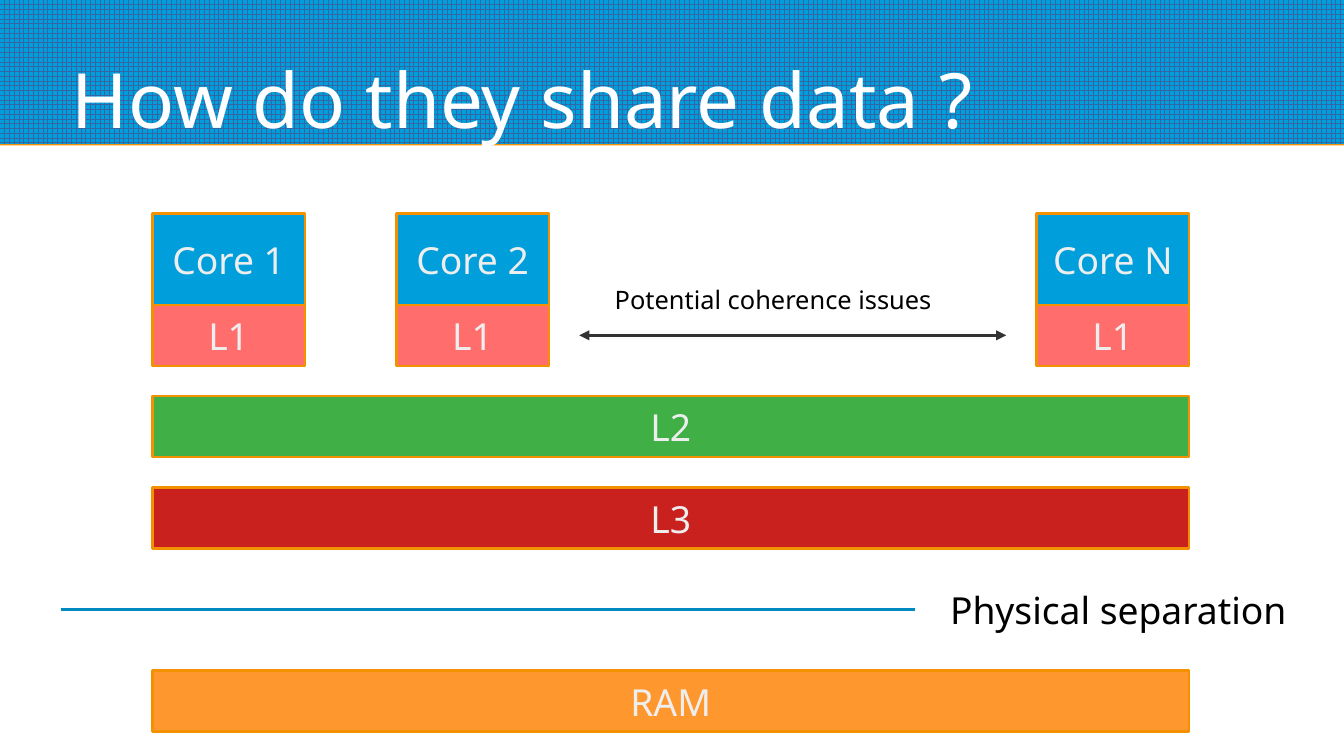
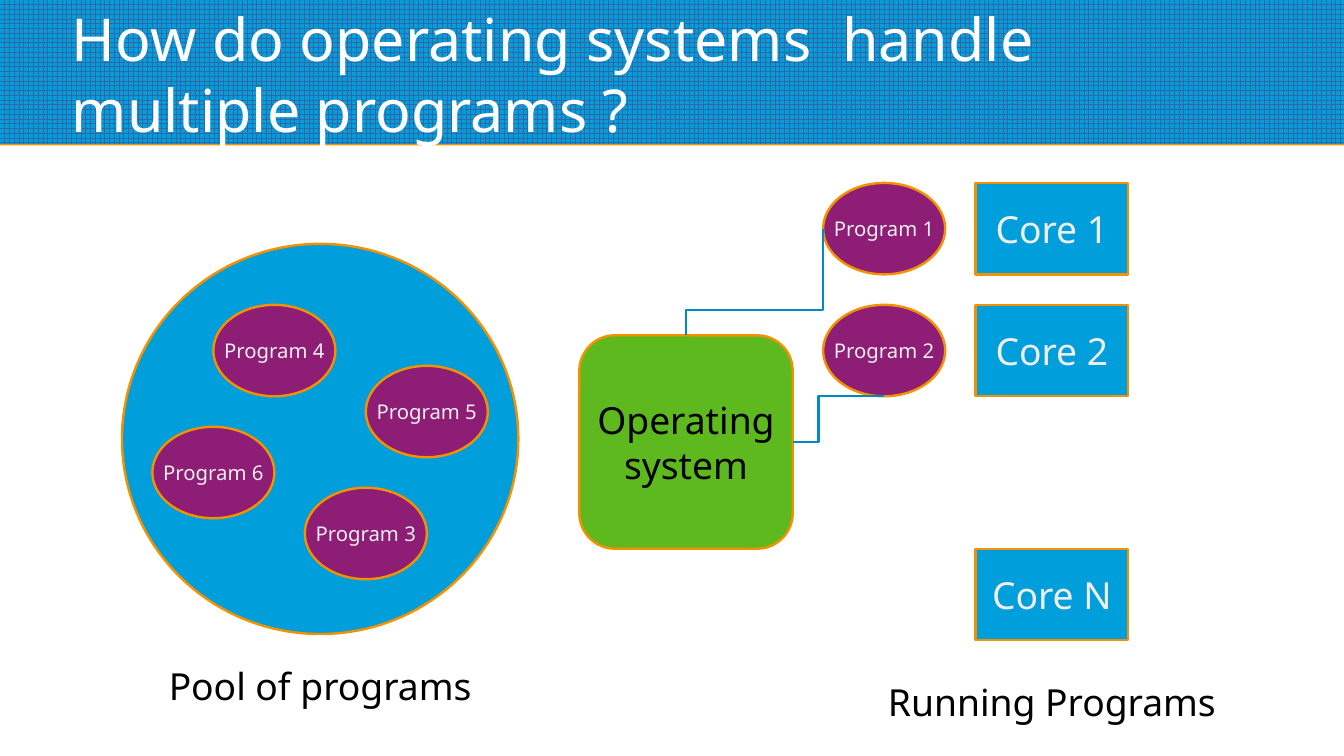
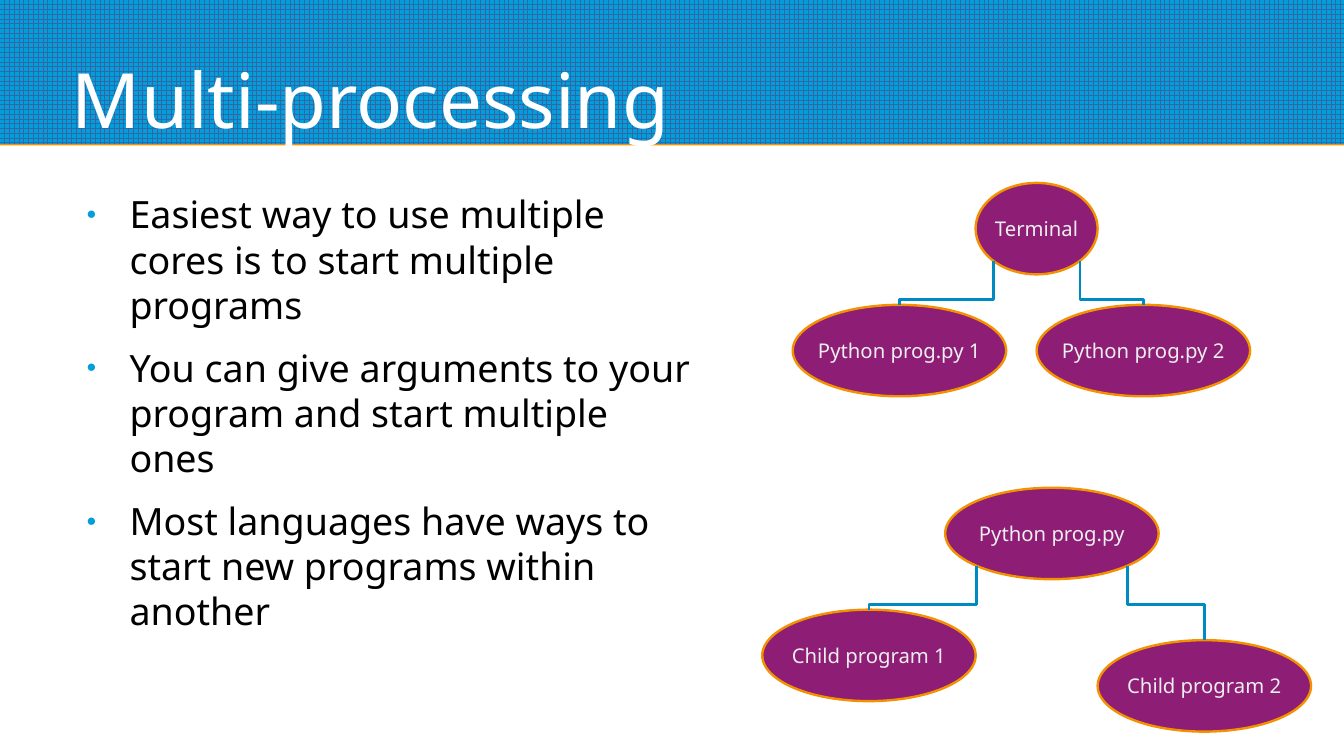
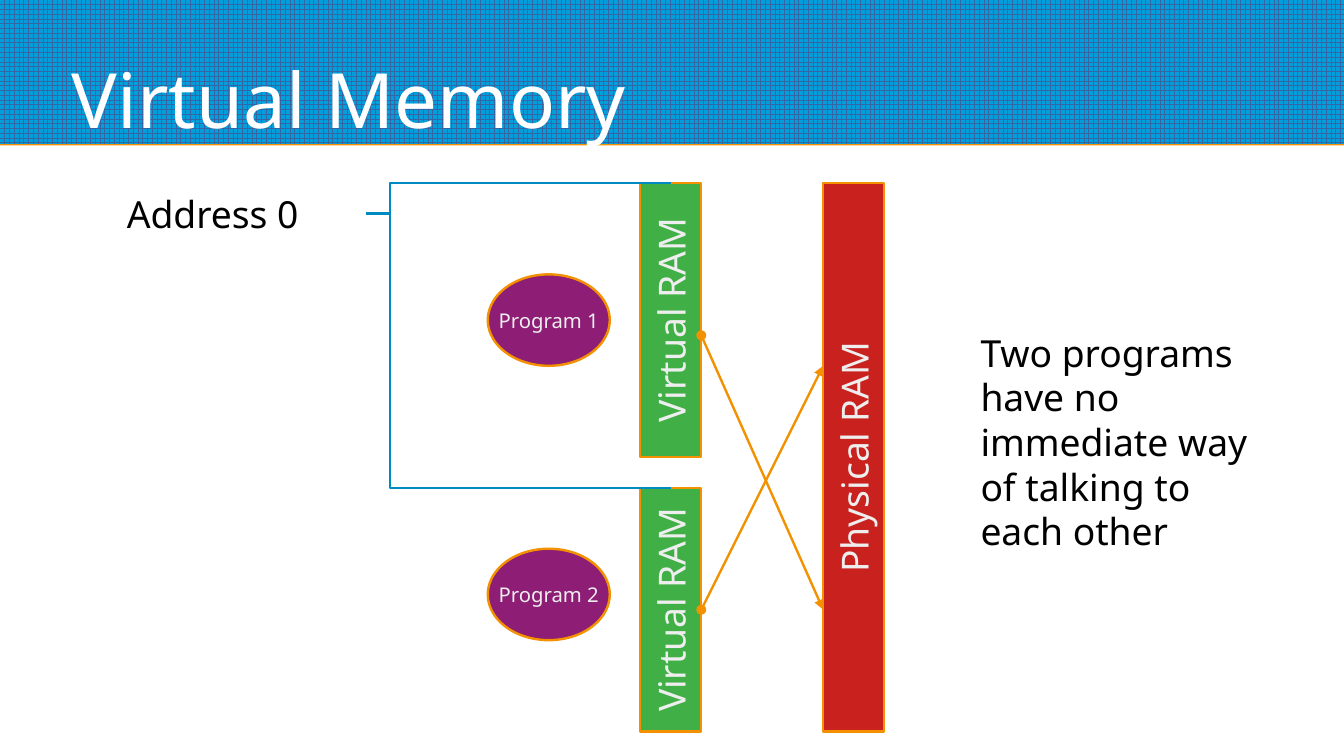
from lxml import etree
from pptx import Presentation
from pptx import util as u
from pptx.dml import color
from pptx.enum import dml, shapes, text
from pptx.oxml import ns

Pt = u.Pt
FONT = "Noto Sans"
WHITE, BLACK, PALE, DARK = "FFFFFF", "000000", "EEEEEE", "333333"
BLUE, NAVY, LINK, ORANGE = "009EDA", "3465A4", "008AC2", "F49100"
PINK, GREEN, RED, AMBER = "FF6D6D", "3FAF46", "C9211E", "FF972F"
PURPLE, LIME = "8D1D75", "5EB91E"

WIDTH, HEIGHT, BAND_HEIGHT = 793.44, 446.4, 85
TITLE_BOX = (42.5, 7.2, 708.5, 77.8)
BODY_BOX = (42.5, 113, 371.5, 276.5)
LINE_WIDTH, INSET = 1.42, 2.9
CORE_SIZE, PROGRAM_SIZE, PROCESS_SIZE = (90, 54), (72, 54), (126, 54)

RECTANGLE = shapes.MSO_SHAPE.RECTANGLE
ELLIPSE = shapes.MSO_SHAPE.OVAL
ROUNDED = shapes.MSO_SHAPE.ROUNDED_RECTANGLE
LEFT, CENTER = text.PP_ALIGN.LEFT, text.PP_ALIGN.CENTER

CACHE_CORES = [("Core 1", 90), ("Core 2", 234), ("Core N", 612)]
MEMORY_BARS = [("L2", 234, GREEN), ("L3", 288, RED), ("RAM", 396, AMBER)]

POOL = [("Program 4", 126, 180), ("Program 6", 90, 252),
        ("Program 5", 216, 216), ("Program 3", 180, 288)]
RUNNING_CORES = [("Core 1", 108), ("Core 2", 180), ("Core N", 324)]
RUNNING_PROGRAMS = [("Program 1", 108), ("Program 2", 180)]
SCHEDULING = [((405, 198), (486, 135), 0.24, True),
              ((468, 261), (522, 234), 0.28, False)]

BULLETS = ["Easiest way to use multiple cores is to start multiple programs",
           "You can give arguments to your program and start multiple ones",
           "Most languages have ways to start new programs within another"]
PROCESSES = [("Python prog.py 1", 468, 180), ("Python prog.py 2", 612, 180),
             ("Python prog.py", 558, 288), ("Child program 1", 450, 360),
             ("Child program 2", 648, 378)]
SPAWNING = [((586.5, 154), (531, 180), 0.88, True),
            ((637.5, 154), (675, 180), 0.88, True),
            ((576.5, 334), (513, 360), 0.88, True),
            ((665.5, 334), (711, 378), 0.52, True)]

MEMORIES = [("Virtual RAM", 378, 108, 162, GREEN),
            ("Virtual RAM", 378, 288, 144, GREEN),
            ("Physical RAM", 486, 108, 324, RED)]
MAPPINGS = [((414, 198), (486, 360)), ((414, 360), (486, 216))]
VIRTUAL_PROGRAMS = [("Program 2", 324), ("Program 1", 162)]
ADDRESS_END, MEMORY_TOPS = (216, 126), (108, 288)


def rgb(value):
    return color.RGBColor.from_string(value)


def add_xml(parent, tag, **attributes):
    return etree.SubElement(parent, ns.qn(tag), attributes)


def place(shape, box):
    shape.left, shape.top, shape.width, shape.height = map(Pt, box)


def style_paragraph(paragraph, size, font_color, alignment):
    paragraph.alignment = alignment
    paragraph.font.name = FONT
    paragraph.font.size = Pt(size)
    paragraph.font.color.rgb = rgb(font_color)


def set_frame(frame, inset, anchor, wrap=True):
    frame.margin_left = frame.margin_right = Pt(inset)
    frame.margin_top = frame.margin_bottom = Pt(inset)
    frame.vertical_anchor = anchor
    frame.word_wrap = wrap
    frame.auto_size = text.MSO_AUTO_SIZE.NONE


def write(shape, words, size, font_color, alignment, wrap=True):
    frame = shape.text_frame
    set_frame(frame, INSET, text.MSO_ANCHOR.MIDDLE, wrap)
    frame.text = words
    style_paragraph(frame.paragraphs[0], size, font_color, alignment)


def add_node(slide, kind, box, fill, words="", size=22, font_color=PALE, wrap=False):
    shape = slide.shapes.add_shape(kind, *map(Pt, box))
    shape.shadow.inherit = False
    shape.fill.solid()
    shape.fill.fore_color.rgb = rgb(fill)
    shape.line.color.rgb = rgb(ORANGE)
    shape.line.width = Pt(LINE_WIDTH)
    if words:
        write(shape, words, size, font_color, CENTER, wrap)
    return shape


def add_core(slide, words, left, top):
    add_node(slide, RECTANGLE, (left, top, *CORE_SIZE), BLUE, words)


def add_program(slide, words, left, top, size=PROGRAM_SIZE):
    add_node(slide, ELLIPSE, (left, top, *size), PURPLE, words, 12)


def add_upright(slide, words, left, top, height, fill, width=36):
    shift = (height - width) / 2
    box = (left - shift, top + shift, height, width)
    add_node(slide, RECTANGLE, box, fill, words).rotation = 270


def add_label(slide, box, words, size=22, alignment=LEFT):
    write(slide.shapes.add_textbox(*map(Pt, box)), words, size, BLACK, alignment)


def add_line(slide, start, end, line_color, head=None, tail=None,
             kind=shapes.MSO_CONNECTOR.STRAIGHT):
    connector = slide.shapes.add_connector(kind, *map(Pt, (*start, *end)))
    connector.line.color.rgb = rgb(line_color)
    connector.line.width = Pt(LINE_WIDTH)
    outline = connector.line._get_or_add_ln()
    for tag, arrow in (("a:headEnd", head), ("a:tailEnd", tail)):
        if arrow:
            add_xml(outline, tag, type=arrow)
    add_xml(connector.element.spPr, "a:effectLst")
    return connector


def add_elbow(slide, start, end, bend, vertical):
    turn = 0
    if vertical:
        dx, dy = end[0] - start[0], end[1] - start[1]
        middle_x, middle_y = start[0] + dx / 2, start[1] + dy / 2
        turn = 270 if dx * dy > 0 else 90
        sign = 1 if turn == 90 else -1
        half_x, half_y = sign * dy / 2, -sign * dx / 2
        start = (middle_x - half_x, middle_y - half_y)
        end = (middle_x + half_x, middle_y + half_y)
    connector = add_line(slide, start, end, LINK, kind=shapes.MSO_CONNECTOR.ELBOW)
    properties = connector.element.spPr
    if turn:
        properties.find(ns.qn("a:xfrm")).set("rot", str(turn * 60000))
    adjustments = properties.find(".//" + ns.qn("a:avLst"))
    add_xml(adjustments, "a:gd", name="adj1", fmla=f"val {round(bend * 100000)}")


def add_band(presentation, slide):
    band = slide.shapes.add_shape(RECTANGLE, 0, 0, Pt(WIDTH), Pt(BAND_HEIGHT))
    band.fill.patterned()
    band.fill.pattern = dml.MSO_PATTERN.LARGE_GRID
    band.fill.fore_color.rgb = rgb(NAVY)
    band.fill.back_color.rgb = rgb(BLUE)
    band.line.fill.background()
    band.shadow.inherit = False
    effects = band.element.spPr.find(ns.qn("a:effectLst"))
    shadow = add_xml(effects, "a:outerShdw", dist=str(Pt(0.9)), dir="5400000",
                     algn="ctr", rotWithShape="0")
    add_xml(shadow, "a:srgbClr", val=ORANGE)
    band.element.nvSpPr.cNvPr.set("id", "20")
    presentation.slide_master.shapes.element.insert(2, band.element)


def prepare_master(presentation):
    for placeholder in presentation.slide_master.placeholders:
        kind = placeholder.placeholder_format.type
        if kind == shapes.PP_PLACEHOLDER.TITLE:
            place(placeholder, TITLE_BOX)
            set_frame(placeholder.text_frame, 0, text.MSO_ANCHOR.BOTTOM)
        elif kind == shapes.PP_PLACEHOLDER.BODY:
            place(placeholder, BODY_BOX)
            set_frame(placeholder.text_frame, 0, text.MSO_ANCHOR.TOP)


def add_slide(presentation, title, size=45, layout=5):
    slide = presentation.slides.add_slide(presentation.slide_layouts[layout])
    slide.shapes.title.text = title
    paragraph = slide.shapes.title.text_frame.paragraphs[0]
    style_paragraph(paragraph, size, WHITE, LEFT)
    return slide


def fill_bullets(placeholder, items):
    frame = placeholder.text_frame
    frame.text = "\n".join(items)
    for paragraph in frame.paragraphs:
        paragraph.space_before = Pt(0)
        paragraph.space_after = Pt(10.5)
        properties = paragraph._p.get_or_add_pPr()
        properties.set("marL", str(Pt(34)))
        properties.set("indent", str(Pt(-25.5)))
        add_xml(add_xml(properties, "a:buClr"), "a:srgbClr", val=BLUE)
        add_xml(properties, "a:buSzPct", val="45000")
        add_xml(properties, "a:buChar", char="●")
        style_paragraph(paragraph, 22.2, BLACK, LEFT)


def build_sharing(presentation):
    slide = add_slide(presentation, "How do they share data ?")
    add_band(presentation, slide)
    for words, left in CACHE_CORES:
        add_core(slide, words, left, 126)
    for words, top, fill in MEMORY_BARS:
        add_node(slide, RECTANGLE, (90, top, 612, 36), fill, words)
    for _, left in CACHE_CORES:
        add_node(slide, RECTANGLE, (left, 180, 90, 36), PINK, "L1")
    add_line(slide, (36, 360), (540, 360), LINK)
    add_label(slide, (558, 327, 216, 66), "Physical separation")
    add_line(slide, (342, 198), (594, 198), DARK, "triangle", "triangle")
    add_label(slide, (360, 144, 198, 66), "Potential coherence issues", 15)


def build_scheduling(presentation):
    slide = add_slide(presentation,
                      "How do operating systems  handle multiple programs ?", 34.9)
    add_node(slide, ELLIPSE, (72, 144, 234, 230.4), BLUE)
    for words, left, top in POOL:
        add_program(slide, words, left, top)
    for words, top in RUNNING_CORES:
        add_core(slide, words, 576, top)
    add_node(slide, ROUNDED, (342, 198, 126, 126), LIME, "Operating system",
             font_color=BLACK, wrap=True)
    for words, top in RUNNING_PROGRAMS:
        add_program(slide, words, 486, top)
    for route in SCHEDULING:
        add_elbow(slide, *route)
    add_label(slide, (72, 387, 234, 36), "Pool of programs", alignment=CENTER)
    add_label(slide, (504, 396, 234, 36), "Running Programs", alignment=CENTER)


def build_processes(presentation):
    slide = add_slide(presentation, "Multi-processing", layout=1)
    fill_bullets(slide.placeholders[1], BULLETS)
    add_program(slide, "Terminal", 576, 108)
    for words, left, top in PROCESSES:
        add_program(slide, words, left, top, PROCESS_SIZE)
    for route in SPAWNING:
        add_elbow(slide, *route)


def build_memory(presentation):
    slide = add_slide(presentation, "Virtual Memory")
    for memory in MEMORIES:
        add_upright(slide, *memory)
    for words, top in VIRTUAL_PROGRAMS:
        add_program(slide, words, 288, top)
    for start, end in MAPPINGS:
        add_line(slide, start, end, ORANGE, "oval", "triangle")
    add_label(slide, (72, 108, 144, 36), "Address 0")
    for top in MEMORY_TOPS:
        add_elbow(slide, ADDRESS_END, (396, top), 0.08, False)
    add_label(slide, (576, 183, 180, 155.5),
              "Two programs have no immediate way of talking to each other")


def main():
    presentation = Presentation()
    presentation.slide_width, presentation.slide_height = Pt(WIDTH), Pt(HEIGHT)
    prepare_master(presentation)
    for build in (build_sharing, build_scheduling, build_processes, build_memory):
        build(presentation)
    presentation.save("out.pptx")


if __name__ == "__main__":
    main()
